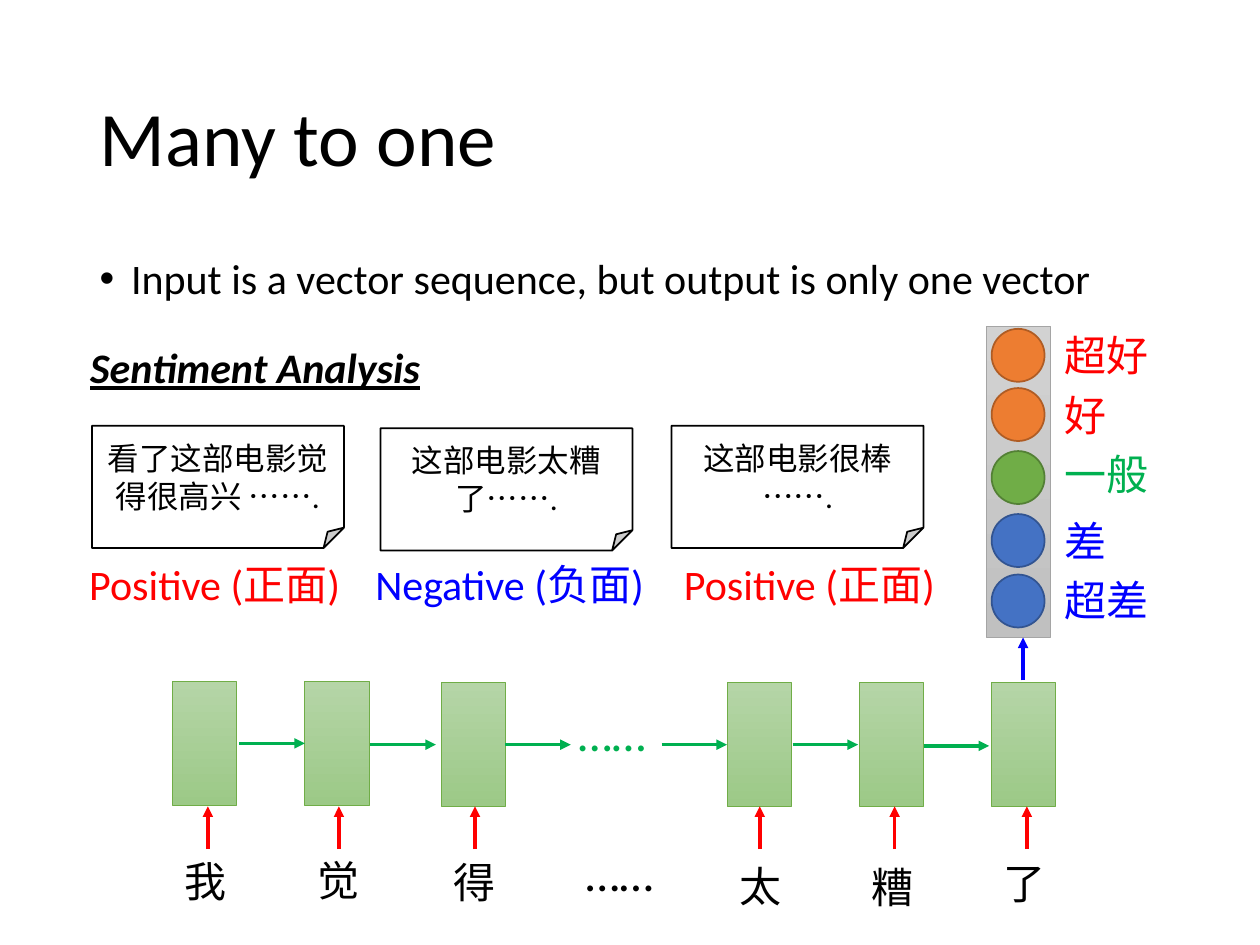
from lxml import etree
from pptx import Presentation
from pptx.dml.color import RGBColor
from pptx.enum.shapes import MSO_CONNECTOR, MSO_SHAPE
from pptx.enum.text import MSO_ANCHOR, MSO_AUTO_SIZE, PP_ALIGN
from pptx.oxml.ns import qn
from pptx.util import Inches, Pt

RECT, OVAL, NOTE = MSO_SHAPE.RECTANGLE, MSO_SHAPE.OVAL, MSO_SHAPE.FOLDED_CORNER
STRAIGHT = MSO_CONNECTOR.STRAIGHT
LEFT, CENTER = PP_ALIGN.LEFT, PP_ALIGN.CENTER
TOP, MIDDLE = MSO_ANCHOR.TOP, MSO_ANCHOR.MIDDLE
NO_FIT = MSO_AUTO_SIZE.NONE

COLORS = {name: RGBColor.from_string(value) for name, value in {
    "black": "000000", "white": "FFFFFF", "red": "FF0000",
    "green": "00B050", "blue": "0000FF",
    "cell_top": "B5D5A7", "cell_bottom": "9CC987", "cell_line": "70AD47",
    "column_top": "D2D2D2", "column_bottom": "C0C0C0", "column_line": "A5A5A5",
    "good": "ED7D31", "good_line": "AF5C24",
    "fair": "70AD47", "fair_line": "538035",
    "bad": "4472C4", "bad_line": "325491",
}.items()}


def write(sp, text, size=24, color="black", align=LEFT, anchor=TOP,
          wrap=True, emphasis=False):
    tf = sp.text_frame
    tf.word_wrap = wrap
    tf.auto_size = NO_FIT
    tf.vertical_anchor = anchor
    p = tf.paragraphs[0]
    p.alignment = align
    r = p.add_run()
    r.text = text
    r.font.name = "Calibri"
    r.font.size = Pt(size)
    r.font.color.rgb = COLORS[color]
    if emphasis:
        r.font.bold = r.font.italic = r.font.underline = True
    return p


def add_arrow(x1, y1, x2, y2, color):
    line = s.shapes.add_connector(
        STRAIGHT, Inches(x1), Inches(y1), Inches(x2), Inches(y2))
    line.line.color.rgb = COLORS[color]
    line.line.width = Pt(2)
    etree.SubElement(line.line._get_or_add_ln(), qn("a:tailEnd"), type="triangle")
    etree.SubElement(line._element.spPr, qn("a:effectLst"))


prs = Presentation()
prs.slide_width, prs.slide_height = Inches(10), Inches(7.5)
s = prs.slides.add_slide(prs.slide_layouts[1])

title, body = s.placeholders
for sp, top, height in [(title, 0.4, 1.45), (body, 2, 4.76)]:
    sp.left, sp.top = Inches(0.69), Inches(top)
    sp.width, sp.height = Inches(8.62), Inches(height)
p = write(title, "Many to one", size=44, anchor=MIDDLE)
p.line_spacing = 0.9
p = write(body, "Input is a vector sequence, but output is only one vector")
p.line_spacing = 0.9
p.space_before = Pt(10)
pPr = p._p.get_or_add_pPr()
pPr.set("marL", str(Inches(0.25)))
pPr.set("indent", str(Inches(-0.25)))
etree.SubElement(pPr, qn("a:buChar"), char="•")

words = [
    ("我", 1.37, 5.41, 6.74), ("觉", 2.42, 5.41, 6.73), ("得", 3.5, 5.42, 6.75),
    ("太", 5.77, 5.42, 6.78), ("糟", 6.82, 5.42, 6.79), ("了", 7.87, 5.42, 6.76),
]
grades = [
    ("超好", "red", "good", 2.61, 2.57), ("好", "red", "good", 3.08, 3.04),
    ("一般", "green", "fair", 3.58, 3.51), ("差", "blue", "bad", 4.08, 4.04),
    ("超差", "blue", "bad", 4.56, 4.51),
]
reviews = [
    ("看了这部电影觉得很高兴 …….", 0.73, 3.38, "Positive (正面)", "red", 0.61),
    ("这部电影太糟了…….", 3.02, 3.4, "Negative (负面)", "blue", 2.88),
    ("这部电影很棒 …….", 5.33, 3.38, "Positive (正面)", "red", 5.33),
]

boxes = [(RECT, x, y, 0.51, 0.98, "cell", 0.5, "") for _, x, y, _ in words]
boxes.append((RECT, 7.83, 2.59, 0.51, 2.47, "column", 0.5, ""))
boxes += [(OVAL, 7.87, y, 0.42, 0.42, fill, 1, "") for _, _, fill, y, _ in grades]
boxes += [(NOTE, x, y, 2, 0.97, "white", 1, text) for text, x, y, *_ in reviews]
for kind, x, y, w, h, fill, width, text in boxes:
    sp = s.shapes.add_shape(kind, Inches(x), Inches(y), Inches(w), Inches(h))
    sp.shadow.inherit = False
    if fill in COLORS:
        sp.fill.solid()
        sp.fill.fore_color.rgb = COLORS[fill]
    else:
        sp.fill.gradient()
        sp.fill.gradient_angle = 270
        for stop, end in zip(sp.fill.gradient_stops, ("top", "bottom")):
            stop.color.rgb = COLORS[f"{fill}_{end}"]
    sp.line.color.rgb = COLORS.get(f"{fill}_line", COLORS["black"])
    sp.line.width = Pt(width)
    if text:
        write(sp, text, size=18, align=CENTER, anchor=MIDDLE)

for x, y in [(1.9, 5.9), (2.94, 5.91), (4.01, 5.91),
             (5.25, 5.91), (6.29, 5.91), (7.33, 5.92)]:
    add_arrow(x, y, x + 0.52, y, "green")
for x in (1.65, 2.69, 3.77, 6.03, 7.1, 8.15):
    add_arrow(x, 6.74, x, 6.4, "red")
add_arrow(8.12, 5.4, 8.12, 5.06, "blue")

labels = [
    ("Sentiment Analysis", 0.54, 2.66, 2.97, dict(align=CENTER, emphasis=True)),
    ("……", 4.49, 5.53, 1.21, dict(size=28, color="green")),
    ("……", 4.55, 6.64, 1.21, dict(size=28)),
]
labels += [(word, x, y, 0.54, dict(wrap=False)) for word, x, _, y in words]
labels += [(grade, 8.35, y, 0.88, dict(color=color, wrap=False))
           for grade, color, _, _, y in grades]
labels += [(verdict, x, 4.38, 2.35, dict(color=color))
           for _, _, _, verdict, color, x in reviews]
for text, x, y, w, style in labels:
    sp = s.shapes.add_textbox(Inches(x), Inches(y), Inches(w), Inches(0.5))
    write(sp, text, **style)

prs.save("out.pptx")
